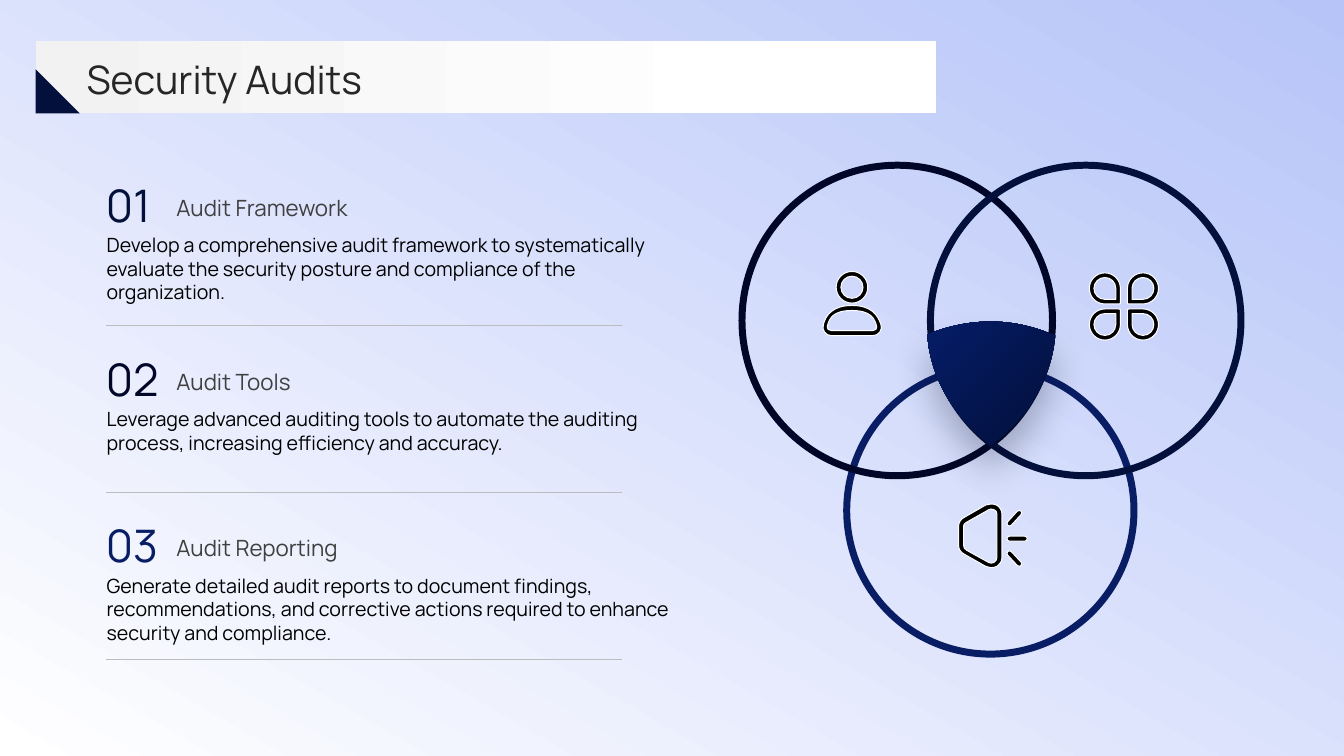
"""Builds the Security Audits slide with three audit steps and a three-circle diagram."""
from dataclasses import dataclass
from itertools import product
from math import atan2, cos, pi, sin, tan

from lxml import etree
from pptx import Presentation
from pptx.dml.color import RGBColor
from pptx.enum.shapes import MSO_CONNECTOR, MSO_SHAPE
from pptx.enum.text import MSO_ANCHOR, MSO_AUTO_SIZE, PP_ALIGN
from pptx.oxml import parse_xml
from pptx.oxml.ns import nsdecls, qn
from pptx.util import Pt

FONT = "Manrope"
SKY = RGBColor(0xB6, 0xC4, 0xF8)
WHITE = RGBColor(0xFF, 0xFF, 0xFF)
PALE = RGBColor(0xF2, 0xF2, 0xF2)
BLACK = RGBColor(0x00, 0x00, 0x00)
INK = RGBColor(0x26, 0x26, 0x26)
SLATE = RGBColor(0x40, 0x40, 0x40)
RULE = RGBColor(0xBC, 0xBC, 0xC0)
NIGHT = RGBColor(0x00, 0x06, 0x27)
NAVY = RGBColor(0x03, 0x10, 0x3B)
ROYAL = RGBColor(0x09, 0x1D, 0x65)
LENS_BLUE = RGBColor(0x05, 0x1C, 0x66)

Contour = list[tuple[float, ...]]


@dataclass(frozen=True)
class Step:
    number: str
    heading: str
    detail: str
    color: RGBColor
    top: float
    rule: float


@dataclass(frozen=True)
class Ring:
    left: float
    top: float
    diameter: float
    color: RGBColor


STEPS = [
    Step("01", "Audit Framework", "Develop a comprehensive audit framework to systematically evaluate "
         "the security posture and compliance of the organization.", NAVY, 126.7, 232.6),
    Step("02", "Audit Tools", "Leverage advanced auditing tools to automate the auditing process, "
         "increasing efficiency and accuracy.", NIGHT, 251, 352),
    Step("03", "Audit Reporting", "Generate detailed audit reports to document findings, recommendations, "
         "and corrective actions required to enhance security and compliance.", ROYAL, 370, 471),
]
RINGS = [
    Ring(604.8, 262, 205.2, ROYAL),
    Ring(530, 118, 221.8, NIGHT),
    Ring(664.6, 118, 221.8, NAVY),
]

LENS = [(753.8, 239.8), (751, 270.7, 734.4, 299.5, 707.8, 318.2),
        (681.8, 298.8, 664.6, 270.7, 662.4, 239),
        (676.8, 232.9, 692.4, 229.7, 708, 229.7), (723.4, 229.7, 739.4, 233.3, 753.8, 239.8)]
BODY_OUTER = [(608.6, 218.2), (594.7, 218.2, 589.7, 225.4, 588.2, 231.8),
              (586.8, 235.4, 589.7, 239.8, 594, 239.8), (623.5, 239.8),
              (627.8, 239.8, 630.7, 235.4, 629.3, 231.8), (627.1, 225.4, 622.8, 218.2, 608.6, 218.2)]
BODY_INNER = [(608.6, 221.8), (595, 221.8, 592.5, 227.5, 591.1, 232.6),
              (590.6, 235, 592, 236.2, 594, 236.2), (623.5, 236.2),
              (625.2, 236.2, 626.6, 235, 626.1, 232.6), (624.7, 227.5, 622, 221.8, 608.6, 221.8)]
HORN_OUTER = [(707.8, 360), (709.2, 360, 710.6, 360.2, 712.1, 360.9),
              (714.2, 362.2, 715.7, 364.6, 715.7, 367.2), (715.7, 398.2),
              (715.7, 401, 714.2, 403.2, 712.1, 404.6), (709, 405.9, 706.5, 405.7, 704.2, 404.6),
              (689, 396), (686.2, 394.6, 684.7, 392.4, 684.7, 389.5), (684.7, 375.8),
              (684.7, 373.4, 686.2, 370.8, 689, 369.4), (704.2, 360.7),
              (705.6, 360, 706.5, 360, 707.8, 360)]
HORN_INNER = [(707.8, 363.6), (707, 363.6, 706.5, 363.7, 706.3, 364.1), (690.5, 373),
              (689, 373.7, 688.3, 374.6, 688.3, 375.8), (688.3, 389.5),
              (688.3, 391, 689, 392.4, 690.5, 393.1), (706.3, 401.8),
              (707.2, 402.4, 708.8, 402.4, 709.9, 401.8), (711.4, 401, 712.1, 399.7, 712.1, 398.2),
              (712.1, 367.2), (712.1, 365.8, 711.4, 364.4, 709.9, 364),
              (709.2, 363.7, 708.5, 363.6, 707.8, 363.6)]
RAYS = [(721.1, 395.3, 728, 402.7), (721.1, 384.8, 731.9, 384.8), (728, 366.4, 721.1, 373.9)]


def arc(x: float, y: float, radius: float, start: float, sweep: float, pieces: int) -> Contour:
    turn = sweep / pieces
    pull = 4 / 3 * tan(turn / 4)
    contour = [(x + radius * cos(start), y + radius * sin(start))]
    for a, b in ((start + i * turn, start + (i + 1) * turn) for i in range(pieces)):
        contour.append((x + radius * (cos(a) - pull * sin(a)), y + radius * (sin(a) + pull * cos(a)),
                        x + radius * (cos(b) + pull * sin(b)), y + radius * (sin(b) - pull * cos(b)),
                        x + radius * cos(b), y + radius * sin(b)))
    return contour


def petal(x: float, y: float, radius: float, toward: tuple[int, int], bevel: float) -> Contour:
    tip = [(radius, radius - bevel), (radius, radius, radius, radius, radius - bevel, radius)]
    drop = arc(0, 0, radius, pi / 2, 1.5 * pi, 3) + (tip if bevel else [(radius, radius)])
    return [tuple((x, y)[i % 2] + toward[i % 2] * value for i, value in enumerate(segment))
            for segment in drop]


def capsule(x1: float, y1: float, x2: float, y2: float) -> Contour:
    turn = atan2(y2 - y1, x2 - x1)
    return arc(x1, y1, 1.8, turn + pi / 2, pi, 1) + arc(x2, y2, 1.8, turn - pi / 2, pi, 1)


def add_outline(slide, contours: list[Contour]):
    ends = [[(Pt(segment[-2]), Pt(segment[-1])) for segment in contour] for contour in contours]
    builder = slide.shapes.build_freeform(*ends[0][0])
    builder.add_line_segments(ends[0][1:], close=True)
    for contour in ends[1:]:
        builder.move_to(*contour[0])
        builder.add_line_segments(contour[1:], close=True)
    outline = builder.convert_to_shape()
    outline.shadow.inherit = False
    segments = [segment for contour in contours for segment in contour[1:]]
    for line, segment in zip(list(outline.element.iter(qn("a:lnTo"))), segments):
        if len(segment) == 6:
            bend = etree.Element(qn("a:cubicBezTo"))
            for x, y in zip(segment[::2], segment[1::2]):
                etree.SubElement(bend, qn("a:pt"), x=str(Pt(x) - outline.left), y=str(Pt(y) - outline.top))
            line.getparent().replace(line, bend)
    return outline


def add_icon(slide, contours: list[Contour]) -> None:
    icon = add_outline(slide, contours)
    icon.fill.solid()
    icon.fill.fore_color.rgb = BLACK
    icon.line.color.rgb = WHITE
    icon.line.width = Pt(0.75)


def add_preset(slide, kind: MSO_SHAPE, left: float, top: float, width: float, height: float):
    preset = slide.shapes.add_shape(kind, Pt(left), Pt(top), Pt(width), Pt(height))
    preset.shadow.inherit = False
    preset.line.fill.background()
    return preset


def fill_gradient(shape, first: RGBColor, last: RGBColor, angle: float, end: float = 1) -> None:
    shape.fill.gradient()
    shape.fill.gradient_angle = angle
    for stop, color, position in zip(shape.fill.gradient_stops, (first, last), (0, end)):
        stop.color.rgb = color
        stop.position = position


def write(box, text: str, size: float, color: RGBColor, anchor: MSO_ANCHOR) -> None:
    frame = box.text_frame
    frame.text = text
    frame.word_wrap = True
    frame.auto_size = MSO_AUTO_SIZE.NONE
    frame.vertical_anchor = anchor
    frame.margin_left = frame.margin_top = frame.margin_right = frame.margin_bottom = 0
    paragraph = frame.paragraphs[0]
    paragraph.alignment = PP_ALIGN.LEFT
    font = paragraph.runs[0].font
    font.name, font.size, font.color.rgb = FONT, Pt(size), color


def add_step(slide, step: Step) -> None:
    def box(left: float, top: float, width: float, height: float):
        return slide.shapes.add_textbox(Pt(left), Pt(top), Pt(width), Pt(height))

    rule = slide.shapes.add_connector(MSO_CONNECTOR.STRAIGHT, Pt(76), Pt(step.rule), Pt(444), Pt(step.rule))
    rule.line.color.rgb = RULE
    rule.line.width = Pt(1)
    etree.SubElement(rule.element.spPr, qn("a:effectLst"))
    write(box(75.6, step.top, 48.2, 41.8), step.number, 32, step.color, MSO_ANCHOR.TOP)
    write(box(126, step.top + 2.2, 357, 28.8), step.heading, 16, SLATE, MSO_ANCHOR.BOTTOM)
    write(box(76.2, step.top + 39.7, 407, 40.3), step.detail, 14, BLACK, MSO_ANCHOR.TOP)


def add_lens(slide) -> None:
    lens = add_outline(slide, [LENS])
    lens.line.fill.background()
    fill_gradient(lens, NAVY, LENS_BLUE, 135)
    lens.element.spPr.find(qn("a:effectLst")).append(parse_xml(
        f'<a:outerShdw {nsdecls("a")} blurRad="{Pt(26)}" dist="{Pt(16)}" dir="5400000" algn="t" '
        'rotWithShape="0"><a:srgbClr val="02081E"><a:alpha val="25000"/></a:srgbClr></a:outerShdw>'))


def main() -> None:
    deck = Presentation()
    deck.slide_width, deck.slide_height = Pt(960), Pt(540)
    slide = deck.slides.add_slide(deck.slide_layouts[5])
    fill_gradient(add_preset(slide, MSO_SHAPE.RECTANGLE, 0, 0, 960, 540), SKY, WHITE, 240)
    for ring in RINGS:
        circle = add_preset(slide, MSO_SHAPE.OVAL, ring.left, ring.top, ring.diameter, ring.diameter)
        circle.fill.background()
        circle.line.color.rgb = ring.color
        circle.line.width = Pt(5)
    for step in STEPS:
        add_step(slide, step)
    add_icon(slide, [petal(802.8 - 13.6 * sx, 218.9 - 12.9 * sy, radius, (sx, sy), bevel)
                     for sx, sy in product((1, -1), repeat=2) for radius, bevel in ((11.1, 1.4), (7.8, 0))])
    add_icon(slide, [HORN_OUTER, HORN_INNER] + [capsule(*ray) for ray in RAYS])
    head = [arc(608.6, 205.2, radius, 0, 2 * pi, 4) for radius in (11.3, 7.9)]
    add_icon(slide, head + [BODY_OUTER, BODY_INNER])
    add_lens(slide)
    fill_gradient(add_preset(slide, MSO_SHAPE.RECTANGLE, 25.4, 29.5, 643.5, 51.5), PALE, WHITE, 0, 0.8)
    title = slide.shapes.title
    title.left, title.top, title.width, title.height = Pt(61.8), Pt(38.2), Pt(840), Pt(36.7)
    write(title, "Security Audits", 28, INK, MSO_ANCHOR.MIDDLE)
    slide.shapes.element.append(title.element)
    corner = add_preset(slide, MSO_SHAPE.RIGHT_TRIANGLE, 25.5, 49.5, 31.5, 31.5)
    corner.fill.solid()
    corner.fill.fore_color.rgb = NAVY
    deck.save("out.pptx")


if __name__ == "__main__":
    main()
